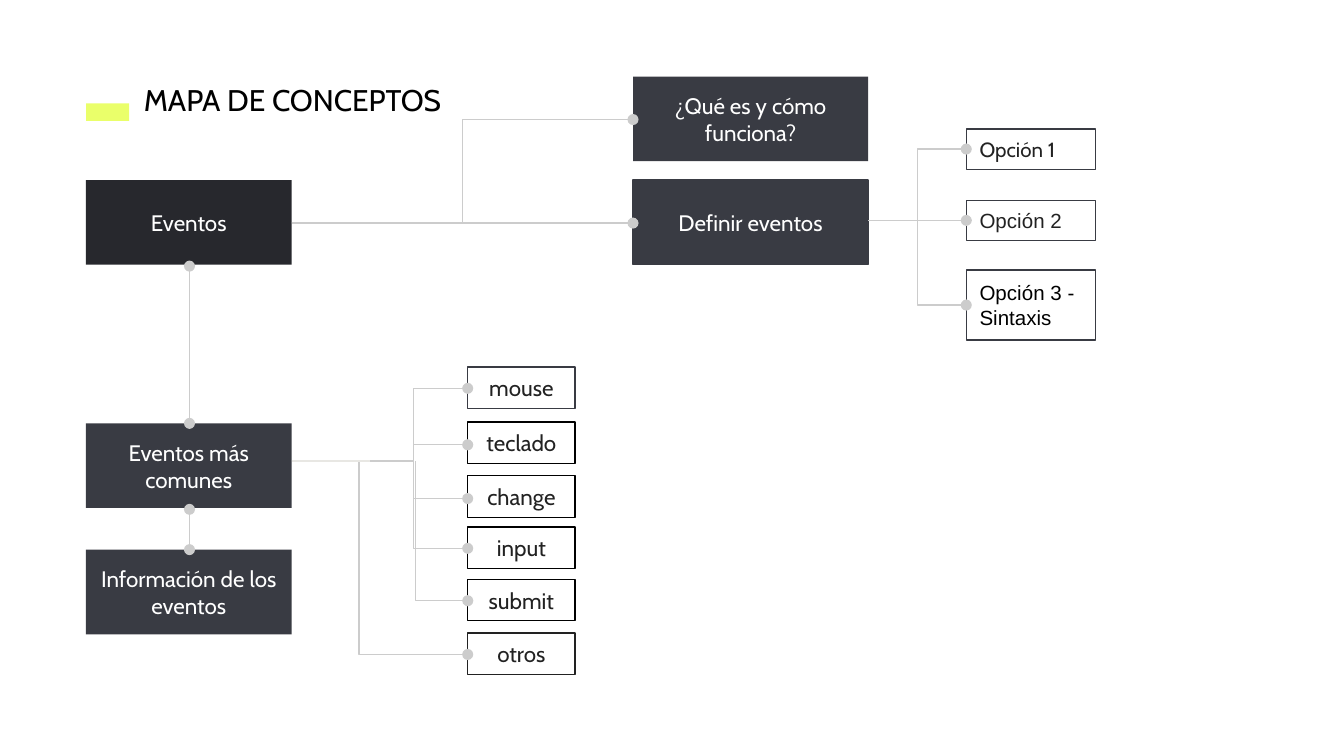
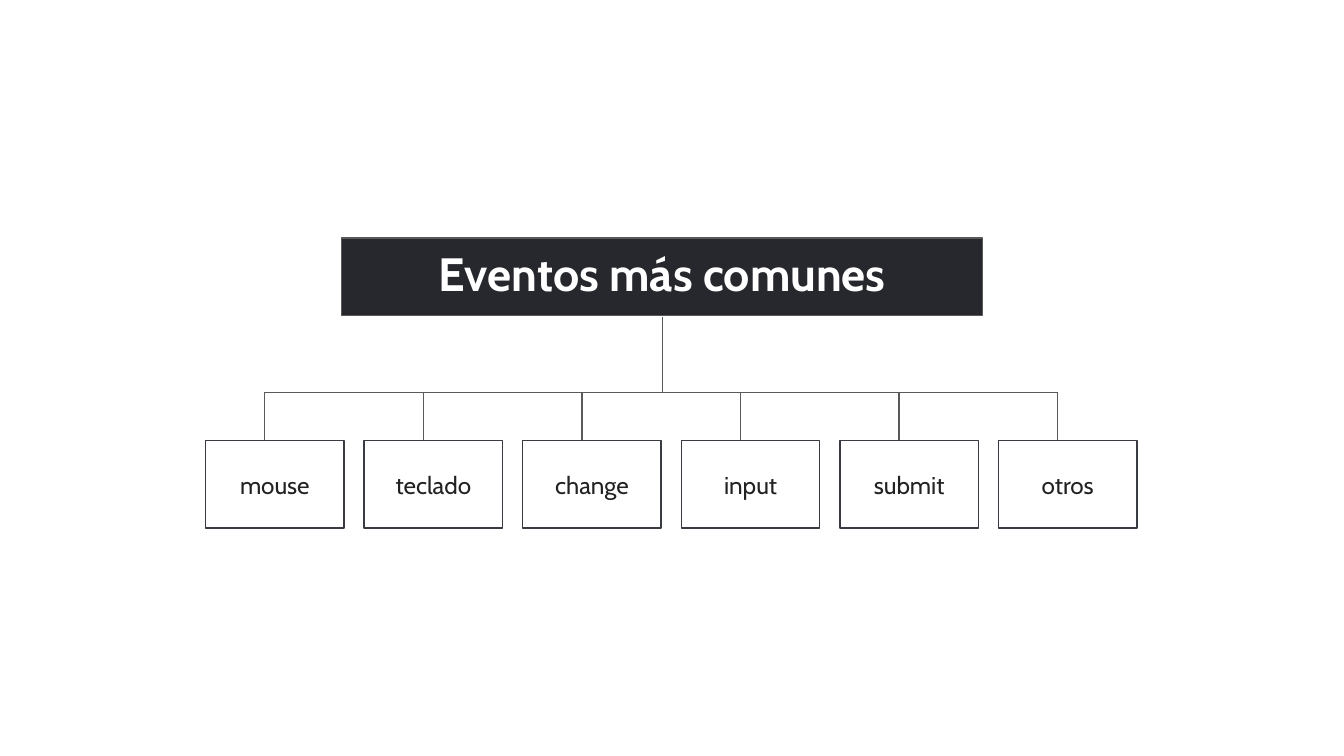
import pptx
import pptx.dml.color
import pptx.enum.shapes
import pptx.enum.text
import pptx.oxml.ns
import pptx.util
from lxml import etree

Inches = pptx.util.Inches
Pt = pptx.util.Pt
rgb = pptx.dml.color.RGBColor.from_string
qn = pptx.oxml.ns.qn
ALIGN = pptx.enum.text.PP_ALIGN
ANCHOR = pptx.enum.text.MSO_ANCHOR
CONNECTOR = pptx.enum.shapes.MSO_CONNECTOR

INK, SLATE, LIME = "27282D", "393B43", "EAFF6A"
WHITE, BLACK, TEXT = "FFFFFF", "000000", "222222"
LINK, FAINT, TREE = "CCCCCC", "E8E7E3", "595959"
EVENTS = ["mouse", "teclado", "change", "input", "submit", "otros"]


def add_box(slide, left, top, width, height, text="", size=12, color=WHITE, fill=None,
            outline=None, align=ALIGN.CENTER, anchor=ANCHOR.MIDDLE, font="Cabin", title=False):
    """Place a text rectangle, or the slide's title placeholder."""
    if title:
        shape = slide.shapes.title
    else:
        shape = slide.shapes.add_shape(pptx.enum.shapes.MSO_SHAPE.RECTANGLE, 0, 0, 0, 0)
        shape.shadow.inherit = False
    shape.left, shape.top = Inches(left), Inches(top)
    shape.width, shape.height = Inches(width), Inches(height)
    if fill:
        shape.fill.solid()
        shape.fill.fore_color.rgb = rgb(fill)
    if outline:
        shape.line.color.rgb = rgb(outline)
        shape.line.width = Pt(0.75)
    else:
        shape.line.fill.background()
    frame = shape.text_frame
    frame.word_wrap = True
    frame.auto_size = pptx.enum.text.MSO_AUTO_SIZE.NONE
    frame.vertical_anchor = anchor
    frame.margin_left = frame.margin_right = Inches(0.1)
    frame.margin_top = frame.margin_bottom = Inches(0.1)
    if text:
        paragraph = frame.paragraphs[0]
        paragraph.text = text
        paragraph.alignment = align
        paragraph.font.name = font
        paragraph.font.size = Pt(size)
        paragraph.font.color.rgb = rgb(color)
    return shape


def add_link(slide, start, end, color=LINK, dots=(), bend=None):
    """Join two points; bend is the share of the width where an elbow turns."""
    kind = CONNECTOR.STRAIGHT if bend is None else CONNECTOR.ELBOW
    link = slide.shapes.add_connector(kind, *[Inches(value) for value in (*start, *end)])
    link.line.color.rgb = rgb(color)
    link.line.width = Pt(0.75)
    properties = link._element.spPr
    for dot in dots:
        etree.SubElement(properties.find(qn("a:ln")), qn("a:" + dot), type="oval")
    if bend is not None:
        adjustments = properties.find(qn("a:prstGeom")).find(qn("a:avLst"))
        etree.SubElement(adjustments, qn("a:gd"), name="adj1", fmla=f"val {int(bend * 100000)}")
    etree.SubElement(properties, qn("a:effectLst"))


# Widescreen page, 16:9
presentation = pptx.Presentation()
presentation.slide_width = Inches(10)
presentation.slide_height = Inches(10 * 9 / 16)
title_only = presentation.slide_layouts[5]

# Slide 1: concept map
slide = presentation.slides.add_slide(title_only)
add_box(slide, 0.64, 0.77, 0.32, 0.13, fill=LIME)
add_box(slide, 0.97, 0.51, 2.69, 0.47, "MAPA DE CONCEPTOS", 16, BLACK,
        align=ALIGN.LEFT, anchor=ANCHOR.TOP, title=True)

# Main topics on the left and their subtopics
topic_left, topic_width, topic_height = 0.64, 1.53, 0.63
topic_right = topic_left + topic_width
topic_middle = 1.41
subtopic_left, subtopic_width = 4.71, 1.75
for top, text, fill in [(1.34, "Eventos", INK), (3.15, "Eventos más comunes", SLATE),
                        (4.09, "Información de los eventos", SLATE)]:
    add_box(slide, topic_left, top, topic_width, topic_height, text, fill=fill)
for start, end in [(1.98, 3.15), (3.79, 4.09)]:
    add_link(slide, (topic_middle, start), (topic_middle, end), dots=("headEnd", "tailEnd"))
for top, text, outline, bend in [(0.57, "¿Qué es y cómo funciona?", None, 0.5),
                                 (1.34, "Definir eventos", SLATE, None)]:
    add_box(slide, subtopic_left, top, subtopic_width, topic_height, text,
            fill=SLATE, outline=outline)
    add_link(slide, (topic_right, 1.66), (subtopic_left, top + 0.32), dots=("tailEnd",), bend=bend)

# Options for defining events
option_left, option_start = 7.19, subtopic_left + subtopic_width
for top, height, text, font, color, bend in [
        (0.96, 0.3, "Opción 1", "Cabin", TEXT, 0.5),
        (1.49, 0.3, "Opción 2", "Arial", TEXT, None),
        (2.01, 0.52, "Opción 3 - Sintaxis", "Arial", BLACK, 0.5)]:
    add_box(slide, option_left, top, 0.96, height, text, 11, color, WHITE, SLATE,
            ALIGN.LEFT, font=font)
    start = 6.82 if bend is None else option_start
    add_link(slide, (start, 1.64), (option_left, top + height / 2), dots=("tailEnd",), bend=bend)

# Common events, each branching from the trunk line
event_left, trunk_left, trunk_top = 3.48, 2.67, 3.43
event_tops = [2.73, 3.14, 3.54, 3.92, 4.31, 4.71]
link_ends = [2.89, 3.31, 3.71, 4.08, 4.47, 4.87]
event_outlines = [SLATE, BLACK, BLACK, BLACK, BLACK, TEXT]
for text, top, link_end, outline in zip(EVENTS, event_tops, link_ends, event_outlines):
    add_box(slide, event_left, top, 0.8, 0.31, text, color=TEXT, fill=WHITE, outline=outline)
    bend = 0 if text in ("submit", "otros") else 0.5
    start = 3.09 if text == "submit" else trunk_left
    add_link(slide, (start, trunk_top), (event_left, link_end), dots=("tailEnd",), bend=bend)
add_link(slide, (topic_right, trunk_top), (2.75, trunk_top), FAINT)

# Slide 2: tree of common events
slide = presentation.slides.add_slide(title_only)
heading = add_box(slide, 2.54, 1.77, 4.77, 0.58, "Eventos más comunes", 25, fill=INK,
                  outline=TREE, anchor=ANCHOR.TOP, title=True)
heading.text_frame.paragraphs[0].font.bold = True
heading.text_frame.paragraphs[0].line_spacing = 0.9

branch_left, branch_step, rail_top, leaf_top = 1.97, 1.18, 2.92, 3.28
branch_right = branch_left + branch_step * (len(EVENTS) - 1)
add_link(slide, (branch_left, rail_top), (branch_right, rail_top), TREE)
add_link(slide, (4.93, 2.36), (4.93, rail_top), TREE)
for index, text in enumerate(EVENTS):
    branch = branch_left + index * branch_step
    add_link(slide, (branch, rail_top), (branch, leaf_top), TREE)
    add_box(slide, branch - 0.44, leaf_top, 1.03, 0.65, text, 13, TEXT, WHITE, SLATE)

presentation.save("out.pptx")
